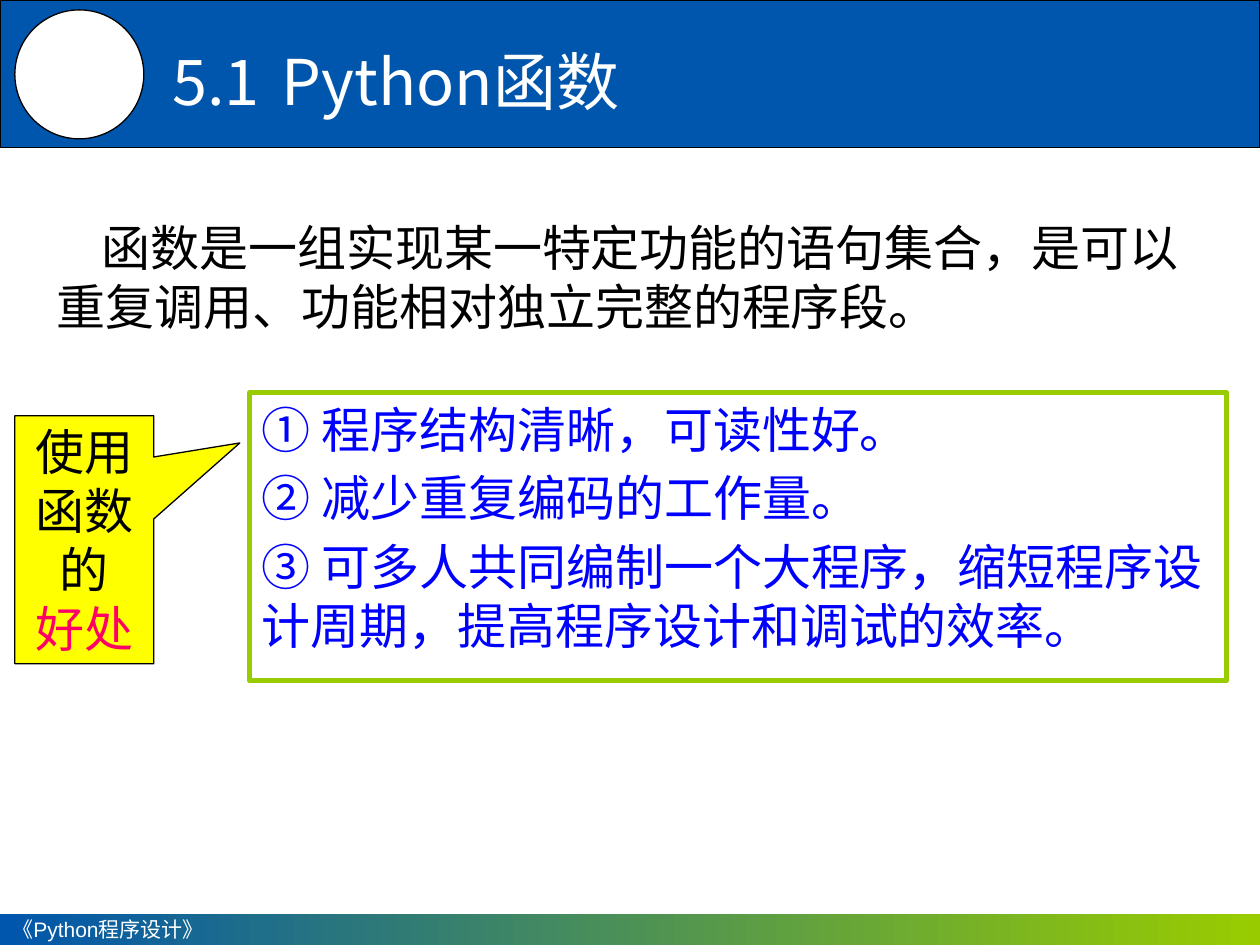
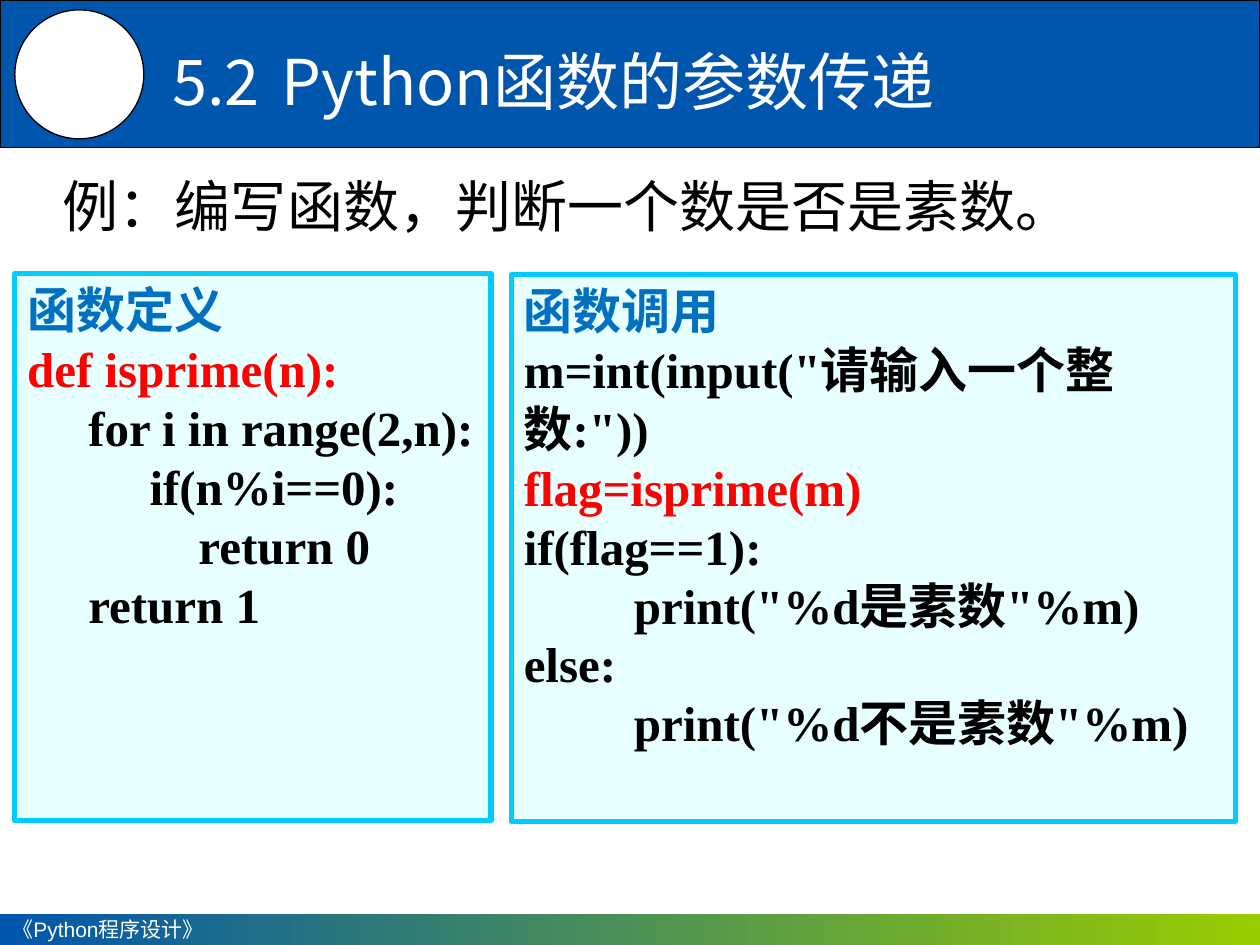
from dataclasses import dataclass

from lxml.etree import SubElement
from pptx import Presentation
from pptx.dml.color import RGBColor
from pptx.enum.shapes import MSO_SHAPE
from pptx.enum.text import MSO_ANCHOR, PP_ALIGN
from pptx.oxml.ns import qn
from pptx.util import Cm, Pt


@dataclass(frozen=True)
class Theme:
    blue: str = "0056AC"
    green: str = "99CC00"
    white: str = "FFFFFF"
    black: str = "000000"
    list_blue: str = "0000FF"
    yellow: str = "FFFF00"
    pink: str = "FF0066"
    red: str = "FF0000"
    heading_blue: str = "0070C0"
    code_fill: str = "E7FFFF"
    code_line: str = "00CCFF"
    chinese: str = "Noto Sans CJK SC"
    code: str = "Times New Roman"
    footer: str = "Arial"
    title_size: int = 36
    example_size: int = 32
    body_size: int = 28
    footer_size: int = 12
    thin: float = 0.75
    thick: float = 3


theme = Theme()


def add_box(page, kind, bounds, fill=None, line=None, weight=theme.thin):
    """Add a preset shape, or a text box when kind is None; bounds are in cm."""
    left, top, width, height = map(Cm, bounds)
    if kind is None:
        box = page.shapes.add_textbox(left, top, width, height)
    else:
        box = page.shapes.add_shape(kind, left, top, width, height)
        box.shadow.inherit = False
        if fill:
            box.fill.solid()
            box.fill.fore_color.rgb = RGBColor.from_string(fill)
        if line:
            box.line.color.rgb = RGBColor.from_string(line)
            box.line.width = Pt(weight)
        else:
            box.line.fill.background()
    box.text_frame.word_wrap = True
    box.text_frame.vertical_anchor = MSO_ANCHOR.TOP
    return box


def write(box, lines, size=theme.body_size, bold=False, align=PP_ALIGN.LEFT, gap=0):
    """Fill a box with (text, colour, font) lines, gap points apart."""
    frame = box.text_frame
    frame.text = "\n".join(text for text, _, _ in lines)
    for index, (paragraph, (_, colour, font)) in enumerate(zip(frame.paragraphs, lines)):
        paragraph.alignment = align
        if index and gap:
            paragraph.space_before = Pt(gap)
        for span in paragraph.runs:
            span.font.size = Pt(size)
            span.font.bold = bold
            span.font.name = font
            span.font.color.rgb = RGBColor.from_string(colour)
            east_asian = SubElement(span.font._element, qn("a:ea"))
            east_asian.set("typeface", theme.chinese)


deck = Presentation()
deck.slide_width, deck.slide_height = Cm(25.4), Cm(19.05)

# Header band, badge, title and footer on every slide
pages = []
for title in ("5.1\tPython函数", "5.2\tPython函数的参数传递"):
    page = deck.slides.add_slide(deck.slide_layouts[6])
    pages.append(page)
    add_box(page, MSO_SHAPE.RECTANGLE, (0, 0, 25.4, 2.97), theme.blue, theme.black)

    footer = add_box(page, MSO_SHAPE.RECTANGLE, (0, 18.42, 25.4, 0.63))
    footer.fill.gradient()
    footer.fill.gradient_angle = 0
    for stop, colour in zip(footer.fill.gradient_stops, (theme.blue, theme.green)):
        stop.color.rgb = RGBColor.from_string(colour)
    write(footer, [("《Python程序设计》", theme.white, theme.footer)], theme.footer_size)
    footer.text_frame.vertical_anchor = MSO_ANCHOR.MIDDLE

    add_box(page, MSO_SHAPE.OVAL, (0.3, 0.2, 2.6, 2.6), theme.white, theme.black)

    title_box = add_box(page, None, (3.23, 0.74, 22.5, 1.9))
    write(title_box, [(title, theme.white, theme.chinese)], theme.title_size)
    properties = title_box.text_frame.paragraphs[0]._p.get_or_add_pPr()
    tab_stop = SubElement(SubElement(properties, qn("a:tabLst")), qn("a:tab"))
    tab_stop.set("pos", str(int(Cm(2.2))))
    tab_stop.set("algn", "l")

functions_page, parameters_page = pages

# What a function is and why to use one
definition = add_box(functions_page, None, (0.9, 4.27, 23.7, 2.64))
write(definition, [(
    "函数是一组实现某一特定功能的语句集合，是可以重复调用、功能相对独立完整的程序段。",
    theme.black, theme.chinese)])
definition.text_frame.paragraphs[0]._p.get_or_add_pPr().set("indent", str(int(Cm(0.9))))

benefits = add_box(functions_page, MSO_SHAPE.RECTANGLE, (5.03, 7.92, 19.7, 5.8),
                   theme.white, theme.green, theme.thick)
benefit_texts = (
    "① 程序结构清晰，可读性好。",
    "② 减少重复编码的工作量。",
    "③ 可多人共同编制一个大程序，缩短程序设计周期，提高程序设计和调试的效率。",
)
write(benefits, [(text, theme.list_blue, theme.chinese) for text in benefit_texts], gap=5.6)

callout = add_box(functions_page, MSO_SHAPE.RECTANGULAR_CALLOUT, (0.3, 8.38, 2.8, 5),
                  theme.yellow, theme.black)
callout.adjustments[0], callout.adjustments[1] = 1.12, -0.39
write(callout, [("使用函数的", theme.black, theme.chinese),
                ("好处", theme.pink, theme.chinese)], align=PP_ALIGN.CENTER)

# Prime number example: definition beside call
example = add_box(parameters_page, None, (1.02, 3.33, 22.86, 2))
write(example, [("例：编写函数，判断一个数是否是素数。", theme.black, theme.chinese)],
      theme.example_size)

code_panels = (
    ((0.3, 5.52, 9.6, 11.02), "函数定义", "def isprime(n):", (
        "def isprime(n):",
        "     for i in range(2,n):",
        "          if(n%i==0):",
        "              return 0",
        "     return 1",
    )),
    ((10.31, 5.54, 14.6, 11.02), "函数调用", "flag=isprime(m)", (
        'm=int(input("请输入一个整数:"))',
        "flag=isprime(m)",
        "if(flag==1):",
        '         print("%d是素数"%m)',
        "else:",
        '         print("%d不是素数"%m)',
    )),
)
for bounds, heading, key_line, code_lines in code_panels:
    panel = add_box(parameters_page, MSO_SHAPE.RECTANGLE, bounds,
                    theme.code_fill, theme.code_line, theme.thick)
    lines = [(heading, theme.heading_blue, theme.chinese)]
    for text in code_lines:
        colour = theme.red if text == key_line else theme.black
        lines.append((text, colour, theme.code))
    write(panel, lines, bold=True)

deck.save("out.pptx")
